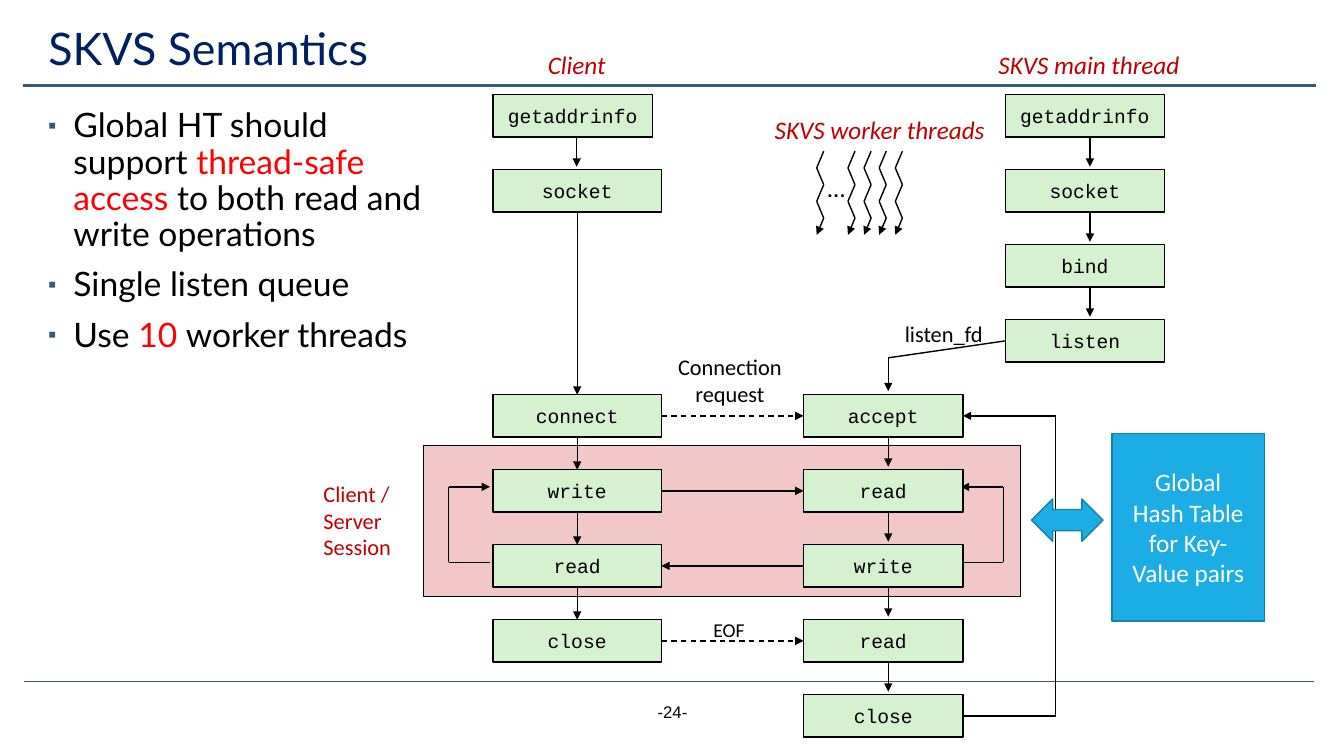
import itertools
import pptx
import pptx.util
import pptx.dml.color
import pptx.enum.dml
import pptx.enum.shapes
import pptx.enum.text
import pptx.oxml.ns
import lxml.etree

Inches = pptx.util.Inches
RGB = pptx.dml.color.RGBColor
Shape = pptx.enum.shapes.MSO_SHAPE
Align = pptx.enum.text.PP_ALIGN
Anchor = pptx.enum.text.MSO_ANCHOR
qn = pptx.oxml.ns.qn

BLACK = RGB(0x00, 0x00, 0x00)
WHITE = RGB(0xFF, 0xFF, 0xFF)
NAVY = RGB(0x00, 0x20, 0x60)
SLATE = RGB(0x33, 0x5B, 0x74)
RED = RGB(0xFF, 0x00, 0x00)
WINE = RGB(0xC0, 0x00, 0x00)
GREEN = RGB(0xD5, 0xF1, 0xCF)
PINK = RGB(0xF1, 0xC7, 0xC7)
BLUE = RGB(0x1C, 0xAD, 0xE4)
TEAL = RGB(0x15, 0x80, 0xA9)

TOP, STEP, HIGH = 0.94, 0.744, 0.42
WIDE, NARROW = 1.67, 1.58
CLIENT, WORKER, MAIN = 4.89, 7.97, 9.97
AXES = {CLIENT: 5.72, WORKER: 8.81, MAIN: 10.81}
ABOVE, LEFT, BELOW, RIGHT = range(4)


def row(index):
    return TOP + STEP * index


def mid(index):
    return row(index) + HIGH / 2


def put(frame, paras, size=16, font="Calibri", color=BLACK, italic=False,
        align=Align.CENTER, anchor=Anchor.MIDDLE, wrap=False, bullet=False,
        lines=None, gap=0):
    frame.word_wrap = wrap
    frame.auto_size = pptx.enum.text.MSO_AUTO_SIZE.NONE
    frame.vertical_anchor = anchor
    for index, parts in enumerate(paras):
        para = frame.add_paragraph() if index else frame.paragraphs[0]
        para.alignment = align
        if lines:
            para.line_spacing = lines
        if index and gap:
            para.space_before = pptx.util.Pt(gap)
        if bullet:
            mark(para)
        if isinstance(parts, str):
            parts = [(parts, color)]
        for words, tint in parts:
            run = para.add_run()
            run.text = words
            run.font.size = pptx.util.Pt(size)
            run.font.name = font
            run.font.italic = italic
            run.font.color.rgb = tint


def mark(para):
    props = para._p.get_or_add_pPr()
    props.set("marL", str(Inches(0.25)))
    props.set("indent", str(-Inches(0.25)))
    tint = lxml.etree.SubElement(props, qn("a:buClr"))
    lxml.etree.SubElement(tint, qn("a:srgbClr"), val=str(SLATE))
    lxml.etree.SubElement(props, qn("a:buSzPct"), val="70000")
    lxml.etree.SubElement(props, qn("a:buFont"), typeface="Arial")
    lxml.etree.SubElement(props, qn("a:buChar"), char="▪")


def label(slide, spot, paras, **style):
    box = slide.shapes.add_textbox(*map(Inches, spot))
    put(box.text_frame, paras, **style)
    return box


def block(slide, spot, fill, line=BLACK, kind=Shape.RECTANGLE):
    shape = slide.shapes.add_shape(kind, *map(Inches, spot))
    shape.shadow.inherit = False
    shape.fill.solid()
    shape.fill.fore_color.rgb = fill
    shape.line.color.rgb = line
    shape.line.width = pptx.util.Pt(1)
    return shape


def call(slide, name, left, index, width=NARROW):
    box = block(slide, (left, row(index), width, HIGH), GREEN)
    put(box.text_frame, [name], size=14, font="Courier New")
    return box


def stroke(slide, start, end, color=BLACK, width=1, head=False, dash=False):
    ends = [(0, 0) if hasattr(p[0], "shape_id") else p for p in (start, end)]
    line = slide.shapes.add_connector(
        pptx.enum.shapes.MSO_CONNECTOR.STRAIGHT,
        *(Inches(v) for v in itertools.chain(*ends)))
    if hasattr(start[0], "shape_id"):
        line.begin_connect(*start)
    if hasattr(end[0], "shape_id"):
        line.end_connect(*end)
    line.line.color.rgb = color
    line.line.width = pptx.util.Pt(width)
    if dash:
        line.line.dash_style = pptx.enum.dml.MSO_LINE.DASH
    if head:
        lxml.etree.SubElement(line.line._get_or_add_ln(), qn("a:tailEnd"),
                              type="triangle")
    lxml.etree.SubElement(line._element.spPr, qn("a:effectLst"))


def route(slide, *points, dash=False):
    last = len(points) - 2
    for index, pair in enumerate(itertools.pairwise(points)):
        stroke(slide, *pair, head=index == last, dash=dash)


def drop(slide, left, index):
    axis = AXES[left]
    route(slide, (axis, row(index) + HIGH), (axis, row(index + 1) - 0.03))


def squiggle(slide, left):
    route(slide, *((left + 0.07 * (i % 2 == 0), 1.5 + 0.166 * i)
                   for i in range(6)))


def frame(slide):
    stroke(slide, (0.24, 6.76), (13.03, 6.76), SLATE, 0.5)
    stroke(slide, (0.23, 0.85), (13.05, 0.85), SLATE, 1.75)
    title = slide.shapes.title
    title.left, title.top, title.width, title.height = map(
        Inches, (0.38, 0.19, 12.43, 0.63))
    put(title.text_frame, ["SKVS Semantics"], size=32, font="Lato",
        color=NAVY, align=Align.LEFT, wrap=True, lines=0.9)
    label(slide, (0.38, 1.03, 3.98, 5.62), [
        [("Global HT should support ", BLACK), ("thread-safe access", RED),
         (" to both read and write operations", BLACK)],
        "Single listen queue",
        [("Use ", BLACK), ("10 ", RED), ("worker threads", BLACK)],
    ], size=24, font="Lato", align=Align.LEFT, anchor=Anchor.TOP, wrap=True,
        bullet=True, lines=0.9, gap=10)
    label(slide, (5.17, 6.91, 3, 0.4), ["-24-"], size=12, font="Arial",
          anchor=Anchor.TOP, wrap=True)


def session(slide):
    block(slide, (4.2, 4.42, 5.92, 1.5), PINK)
    label(slide, (3.11, 4.71, 0.92, 0.9), ["Client / Server", "Session"],
          color=WINE, align=Align.LEFT, wrap=True)
    for near, far in ((9.53, 9.95), (4.86, 4.45)):
        route(slide, (near, 5.58), (far, 5.58), (far, 4.83), (near, 4.83))


def flow(slide):
    call(slide, "getaddrinfo", CLIENT, 0)
    client = {i: call(slide, name, CLIENT, i, WIDE) for i, name in (
        (1, "socket"), (4, "connect"), (5, "write"), (6, "read"),
        (7, "close"))}
    worker = {i: call(slide, name, WORKER, i) for i, name in enumerate(
        ("accept", "read", "write", "read", "close"), 4)}
    main_calls = [call(slide, name, MAIN, i) for i, name in enumerate(
        ("getaddrinfo", "socket", "bind", "listen"))]

    drop(slide, CLIENT, 0)
    for upper, lower in itertools.pairwise(client):
        route(slide, (client[upper], BELOW), (client[lower], ABOVE))
    for index in range(4, 8):
        drop(slide, WORKER, index)
    for index in range(3):
        drop(slide, MAIN, index)

    for index in (4, 5, 7):
        route(slide, (client[index], RIGHT), (worker[index], LEFT),
              dash=index != 5)
    route(slide, (worker[6], LEFT), (client[6], RIGHT))
    route(slide, (worker[8], RIGHT), (10.47, mid(8)), (10.47, mid(4)),
          (worker[4], RIGHT))
    route(slide, (main_calls[3], LEFT), (AXES[WORKER], 3.55),
          (AXES[WORKER], 3.88))


def notes(slide):
    for words, spot in (("Client", (5.22, 0.39, 1, 0.5)),
                        ("SKVS main thread", (9.79, 0.44, 2.02, 0.4)),
                        ("SKVS worker threads", (7.57, 1.08, 2.31, 0.4))):
        label(slide, spot, [words], size=18, color=WINE, italic=True)
    label(slide, (6.61, 3.45, 1.26, 0.64), ["Connection", "request"])
    label(slide, (8.87, 3.12, 0.98, 0.37), ["listen_fd"])
    label(slide, (6.97, 6.08, 0.52, 0.34), ["EOF"], size=14)
    label(slide, (8.11, 1.66, 0.38, 0.4), ["…"], size=18, align=Align.LEFT,
          anchor=Anchor.TOP)
    for left in (8.1, 8.41, 8.57, 8.72, 8.88):
        squiggle(slide, left)


def store(slide):
    table = block(slide, (11.03, 4.3, 1.51, 1.86), BLUE, TEAL)
    put(table.text_frame, ["Global", "Hash Table", "for Key-Value pairs"],
        size=18, color=WHITE, wrap=True)
    block(slide, (10.23, 4.95, 0.71, 0.42), BLUE, TEAL,
          Shape.LEFT_RIGHT_ARROW)


def main():
    deck = pptx.Presentation()
    deck.slide_width, deck.slide_height = Inches(13.33), Inches(7.5)
    slide = deck.slides.add_slide(deck.slide_layouts[5])
    for part in (frame, session, flow, notes, store):
        part(slide)
    deck.save("out.pptx")


if __name__ == "__main__":
    main()
